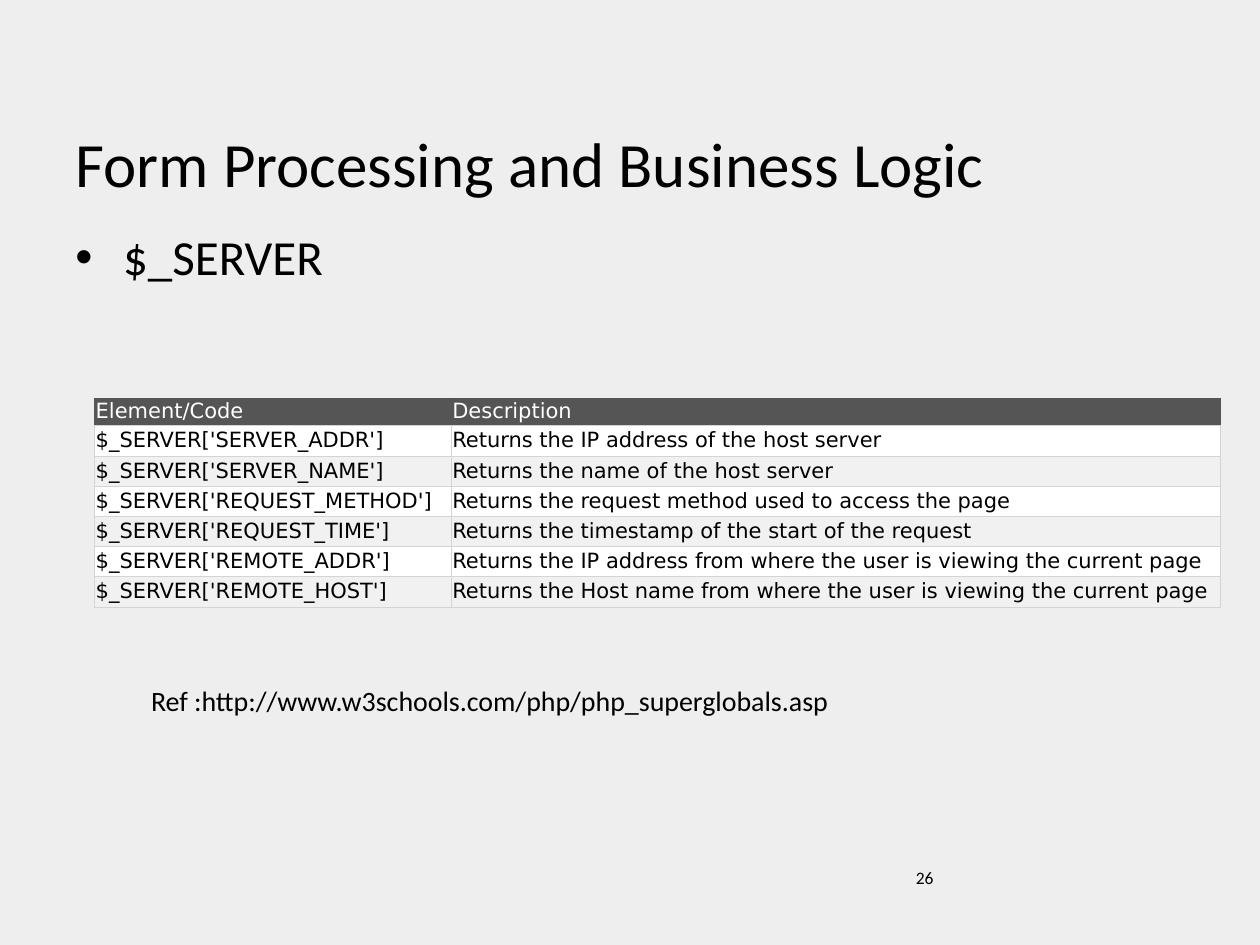
from lxml import etree
from pptx import Presentation
from pptx import util as u
from pptx.dml import color
from pptx.enum import text
from pptx.oxml import ns

COLORS = {
    "background": "EEEEEE",
    "text": "000000",
    "header": "555555",
    "header_text": "FFFFFF",
    "odd_row": "FFFFFF",
    "even_row": "F1F1F1",
    "border": "D4D4D4",
}


def add_text(slide, box, content, size, indent=0, hanging=0, bullet=None,
             anchor=text.MSO_ANCHOR.TOP):
    shape = slide.shapes.add_textbox(*[u.Inches(length) for length in box])
    frame = shape.text_frame
    frame.word_wrap = True
    frame.vertical_anchor = anchor
    frame.text = content
    paragraph = frame.paragraphs[0]
    properties = paragraph._p.get_or_add_pPr()
    properties.set("marL", str(u.Inches(indent)))
    properties.set("indent", str(u.Inches(-hanging)))
    if bullet:
        etree.SubElement(properties, ns.qn("a:buFont")).set("typeface", "Arial")
        etree.SubElement(properties, ns.qn("a:buChar")).set("char", bullet)
    font = paragraph.runs[0].font
    font.name = "Calibri"
    font.size = u.Pt(size)
    font.color.rgb = color.RGBColor.from_string(COLORS["text"])


def add_border(cell, side, hex_color):
    line = etree.SubElement(cell._tc.get_or_add_tcPr(), ns.qn(f"a:ln{side}"))
    line.set("w", str(u.Pt(0.75)))
    fill = etree.SubElement(line, ns.qn("a:solidFill"))
    etree.SubElement(fill, ns.qn("a:srgbClr")).set("val", hex_color)


presentation = Presentation()
presentation.slide_width = u.Inches(10)
presentation.slide_height = u.Inches(7.5)
slide = presentation.slides.add_slide(presentation.slide_layouts[6])
background = slide.background.fill
background.solid()
background.fore_color.rgb = color.RGBColor.from_string(COLORS["background"])

# Bullet, title and slide number
add_text(slide, (0.5, 1.75, 9, 4.95), "$_SERVER", 28, 0.38, 0.38, "•")
add_text(slide, (0.5, 0.39, 9, 1.25), "Form Processing and Business Logic", 36,
         anchor=text.MSO_ANCHOR.BOTTOM)
add_text(slide, (7.17, 6.83, 2.33, 0.52), "26", 10)

# Table of server variables
rows = [
    ("Element/Code", "Description"),
    ("$_SERVER['SERVER_ADDR']", "Returns the IP address of the host server"),
    ("$_SERVER['SERVER_NAME']", "Returns the name of the host server"),
    ("$_SERVER['REQUEST_METHOD']", "Returns the request method used to access the page"),
    ("$_SERVER['REQUEST_TIME']", "Returns the timestamp of the start of the request"),
    ("$_SERVER['REMOTE_ADDR']",
     "Returns the IP address from where the user is viewing the current page"),
    ("$_SERVER['REMOTE_HOST']",
     "Returns the Host name from where the user is viewing the current page"),
]
table = slide.shapes.add_table(len(rows), 2, u.Inches(0.75), u.Inches(3.16),
                               u.Inches(8.94), u.Inches(1.59)).table
table.columns[0].width = u.Inches(2.83)
table.columns[1].width = u.Inches(6.11)

for row_index, row in enumerate(rows):
    is_header = row_index == 0
    table.rows[row_index].height = u.Inches(0.21 if is_header else 0.23)
    if is_header:
        fill_name = "header"
    else:
        fill_name = "odd_row" if row_index % 2 else "even_row"
    for column_index, content in enumerate(row):
        cell = table.cell(row_index, column_index)
        cell.margin_left = cell.margin_right = u.Inches(0.01)
        cell.margin_top = cell.margin_bottom = u.Inches(0.01 if is_header else 0.02)
        for side in "LRTB":
            dark = is_header and side != "B"
            add_border(cell, side, COLORS["header" if dark else "border"])
        cell.fill.solid()
        cell.fill.fore_color.rgb = color.RGBColor.from_string(COLORS[fill_name])
        cell.text_frame.text = content
        font = cell.text_frame.paragraphs[0].runs[0].font
        font.name = "DejaVu Sans"
        font.size = u.Pt(12)
        font.bold = False
        font.color.rgb = color.RGBColor.from_string(
            COLORS["header_text" if is_header else "text"])

# Reference
add_text(slide, (0.6, 5.38, 7.58, 0.37),
         "Ref :http://www.w3schools.com/php/php_superglobals.asp", 16, 0.5)

presentation.save("out.pptx")
